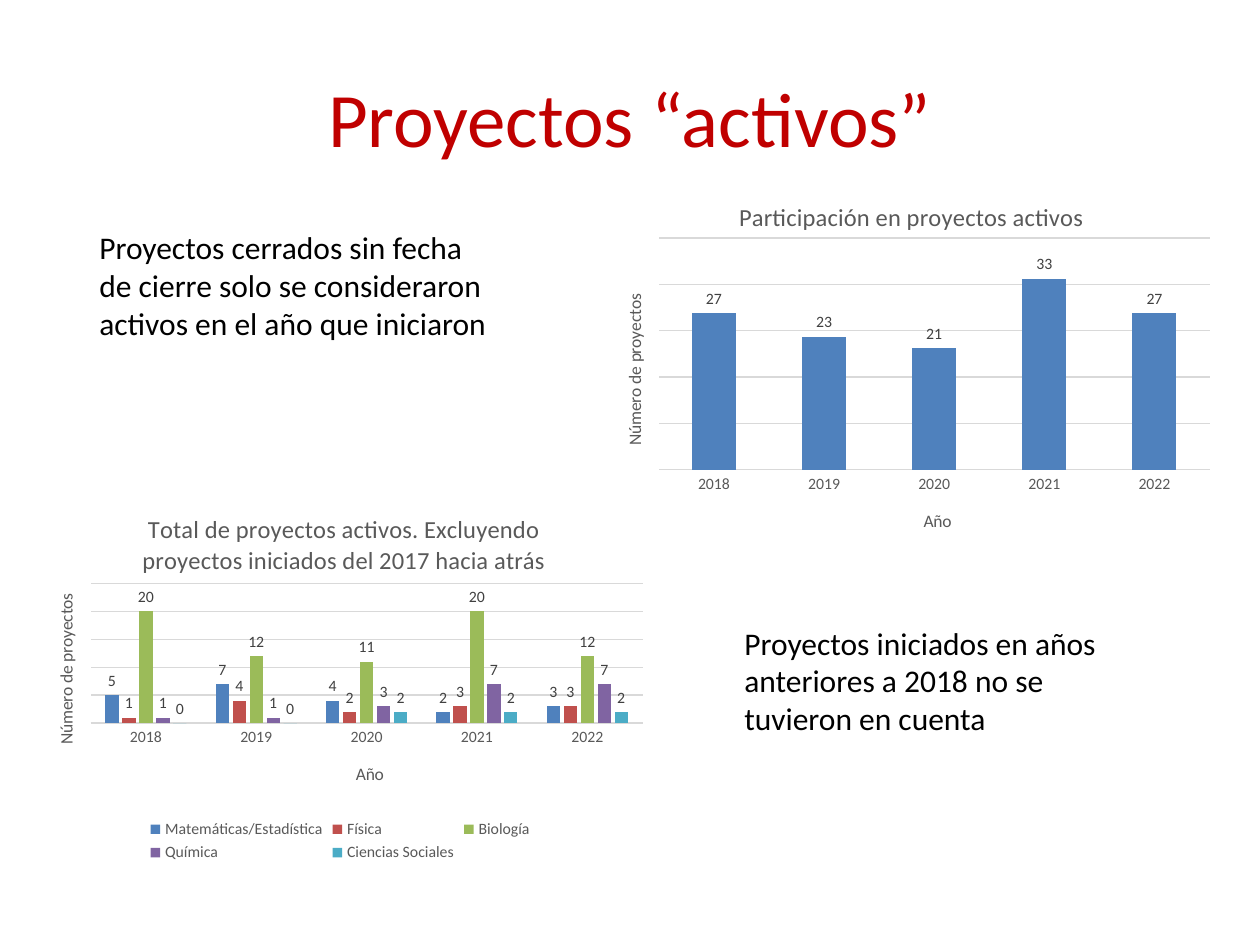
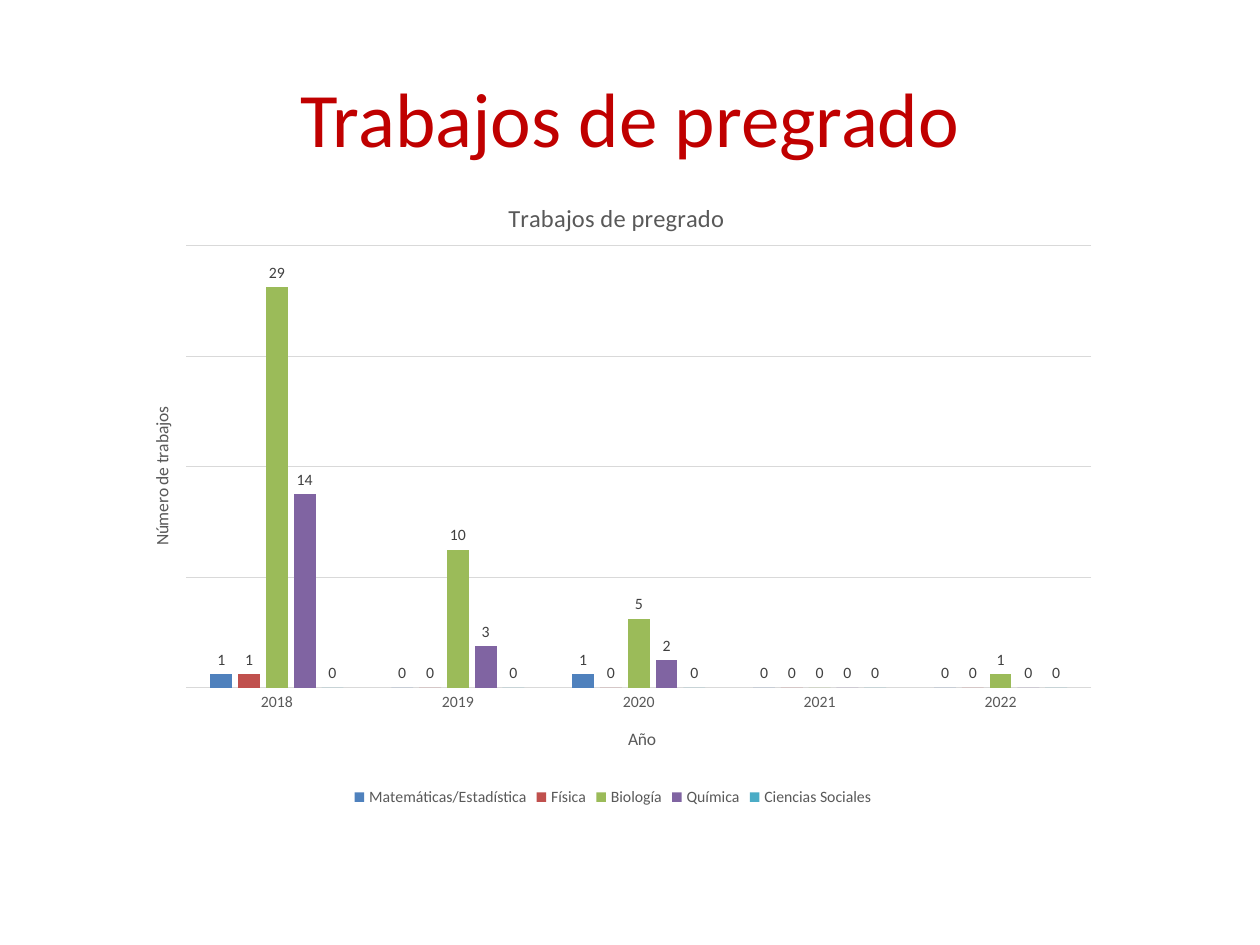
import lxml.etree
import pptx
import pptx.chart.data
import pptx.enum.chart
import pptx.enum.text
import pptx.oxml.ns
import pptx.util
from pptx.dml.color import RGBColor
from pptx.util import Inches

INK = {
    "title": "C00000", "body": "000000", "grey": "595959",
    "label": "404040", "grid": "D9D9D9", "blue": "4F81BD",
    "red": "C0504D", "green": "9BBB59", "violet": "8064A2", "aqua": "4BACC6",
}
FONT = "Calibri"
YEARS = ["2018", "2019", "2020", "2021", "2022"]
FIELDS = ["Matemáticas/Estadística", "Física", "Biología", "Química",
          "Ciencias Sociales"]
BARS = ["blue", "red", "green", "violet", "aqua"]
TITLE = (0.5, 0.3, 9, 1.25)


def style(font, size, ink):
    """Set face, size and colour of a font."""
    font.name = FONT
    font.size = pptx.util.Pt(size)
    font.bold = False
    font.color.rgb = RGBColor.from_string(INK[ink])


def write(slide, box, text, size, ink, head=False):
    """Place wrapped text in a box; a head is centred both ways."""
    frame = slide.shapes.add_textbox(*map(Inches, box)).text_frame
    frame.word_wrap = True
    para = frame.paragraphs[0]
    if head:
        frame.vertical_anchor = pptx.enum.text.MSO_ANCHOR.MIDDLE
        para.alignment = pptx.enum.text.PP_ALIGN.CENTER
    run = para.add_run()
    run.text = text
    style(run.font, size, ink)


def pin(part, **places):
    """Fix a chart part at the given fractions of the chart."""
    qn = pptx.oxml.ns.qn
    old = part.find(qn("c:layout"))
    if old is not None:
        part.remove(old)
    layout = lxml.etree.Element(qn("c:layout"))
    manual = lxml.etree.SubElement(layout, qn("c:manualLayout"))
    if "w" in places:
        lxml.etree.SubElement(manual, qn("c:layoutTarget"), val="inner")
    for name in ("x", "y"):
        lxml.etree.SubElement(manual, qn(f"c:{name}Mode"), val="edge")
    for name, value in places.items():
        lxml.etree.SubElement(manual, qn(f"c:{name}"), val=f"{value:.4f}")
    part.insert(1 if part.find(qn("c:tx")) is not None else 0, layout)


def name(title, lines, size, x, y, turn=False):
    """Write a chart or axis title and pin its top left corner."""
    frame = title.text_frame
    for i, line in enumerate(lines):
        para = frame.add_paragraph() if i else frame.paragraphs[0]
        run = para.add_run()
        run.text = line
        style(run.font, size, "grey")
    if turn:
        body = frame._txBody.find(pptx.oxml.ns.qn("a:bodyPr"))
        body.set("rot", "-5400000")
        body.set("vert", "horz")
    pin(title._element, x=x, y=y)


def rule(line):
    """Give a line the thin grid look."""
    line.color.rgb = RGBColor.from_string(INK["grid"])
    line.width = pptx.util.Pt(0.75)


def plot(slide, box, area, head, spot, unit, rows, top, step, gap=219):
    """Draw a column chart; area and spot are inches from the box corner."""
    wide, high = box[2:]
    left, over, across, down = area
    data = pptx.chart.data.CategoryChartData()
    data.categories = YEARS
    for label, values in rows:
        data.add_series(label, values)
    kind = pptx.enum.chart.XL_CHART_TYPE.COLUMN_CLUSTERED
    chart = slide.shapes.add_chart(kind, *map(Inches, box), data).chart
    style(chart.font, 10, "body")
    many = len(rows) > 1

    chart.has_title = True
    name(chart.chart_title, head, 14, spot[0] / wide, spot[1] / high)
    chart.has_legend = many
    if many:
        chart.legend.position = pptx.enum.chart.XL_LEGEND_POSITION.BOTTOM
        chart.legend.include_in_layout = False
        style(chart.legend.font, 9, "grey")

    cats, vals = chart.category_axis, chart.value_axis
    cats.major_tick_mark = pptx.enum.chart.XL_TICK_MARK.NONE
    style(cats.tick_labels.font, 9, "grey")
    if many:
        rule(cats.format.line)
    else:
        cats.format.line.fill.background()
    name(cats.axis_title, ["Año"], 10,
         (left + across / 2 - 0.11) / wide, (over + down + 0.29) / high)

    vals.minimum_scale, vals.maximum_scale = 0, top
    vals.major_unit = step
    vals.has_major_gridlines = True
    rule(vals.major_gridlines.format.line)
    name(vals.axis_title, [f"Número de {unit}"], 10,
         (left - 0.31) / wide, (over + down / 2 - 0.5) / high, True)
    vals.visible = False

    group = chart.plots[0]
    group.gap_width = gap
    group.overlap = -27 if many else 0
    group.vary_by_categories = False
    for row, ink in zip(group.series, BARS):
        row.format.fill.solid()
        row.format.fill.fore_color.rgb = RGBColor.from_string(INK[ink])
        row.invert_if_negative = False
        marks = row.data_labels
        marks.show_value = True
        marks.position = pptx.enum.chart.XL_LABEL_POSITION.OUTSIDE_END
        style(marks.font, 9, "label")
    pin(chart._chartSpace.chart.plotArea, x=left / wide, y=over / high,
        w=across / wide, h=down / high)


def active(slide):
    """Fill the slide on active projects."""
    write(slide, TITLE, "Proyectos “activos”", 44, "title", True)
    write(slide, (0.69, 1.76, 3.27, 1.31),
          "Proyectos cerrados sin fecha de cierre solo se consideraron "
          "activos en el año que iniciaron", 18, "body")
    write(slide, (5.81, 4.9, 3.27, 1.01),
          "Proyectos iniciados en años anteriores a 2018 no se tuvieron "
          "en cuenta", 18, "body")
    counts = [(5, 7, 4, 2, 3), (1, 4, 2, 3, 3), (20, 12, 11, 20, 12),
              (1, 1, 3, 7, 7), (0, 0, 2, 2, 2)]
    plot(slide, (0.2, 3.88, 5, 3), (0.52, 0.75, 4.38, 1.11),
         ["Total de proyectos activos. Excluyendo",
          "proyectos iniciados del 2017 hacia atrás"], (0.9, 0.16),
         "proyectos", list(zip(FIELDS, counts)), 25, 5)
    plot(slide, (4.69, 1.38, 5, 3), (0.54, 0.51, 4.37, 1.84),
         ["Participación en proyectos activos"], (1.14, 0.17),
         "proyectos", [("Proyectos", (27, 23, 21, 33, 27))], 40, 8, 150)


def degree(slide):
    """Fill the slide on undergraduate work."""
    write(slide, TITLE, "Trabajos de pregrado", 44, "title", True)
    counts = [(1, 0, 1, 0, 0), (1, 0, 0, 0, 0), (29, 10, 5, 0, 1),
              (14, 3, 2, 0, 0), (0, 0, 0, 0, 0)]
    plot(slide, (0.91, 1.34, 7.91, 5.1), (0.57, 0.61, 7.18, 3.51),
         ["Trabajos de pregrado"], (3.09, 0.22), "trabajos",
         list(zip(FIELDS, counts)), 32, 8)


deck = pptx.Presentation()
deck.slide_width, deck.slide_height = Inches(10), Inches(7.5)
for fill in (active, degree):
    fill(deck.slides.add_slide(deck.slide_layouts[6]))
deck.save("out.pptx")
